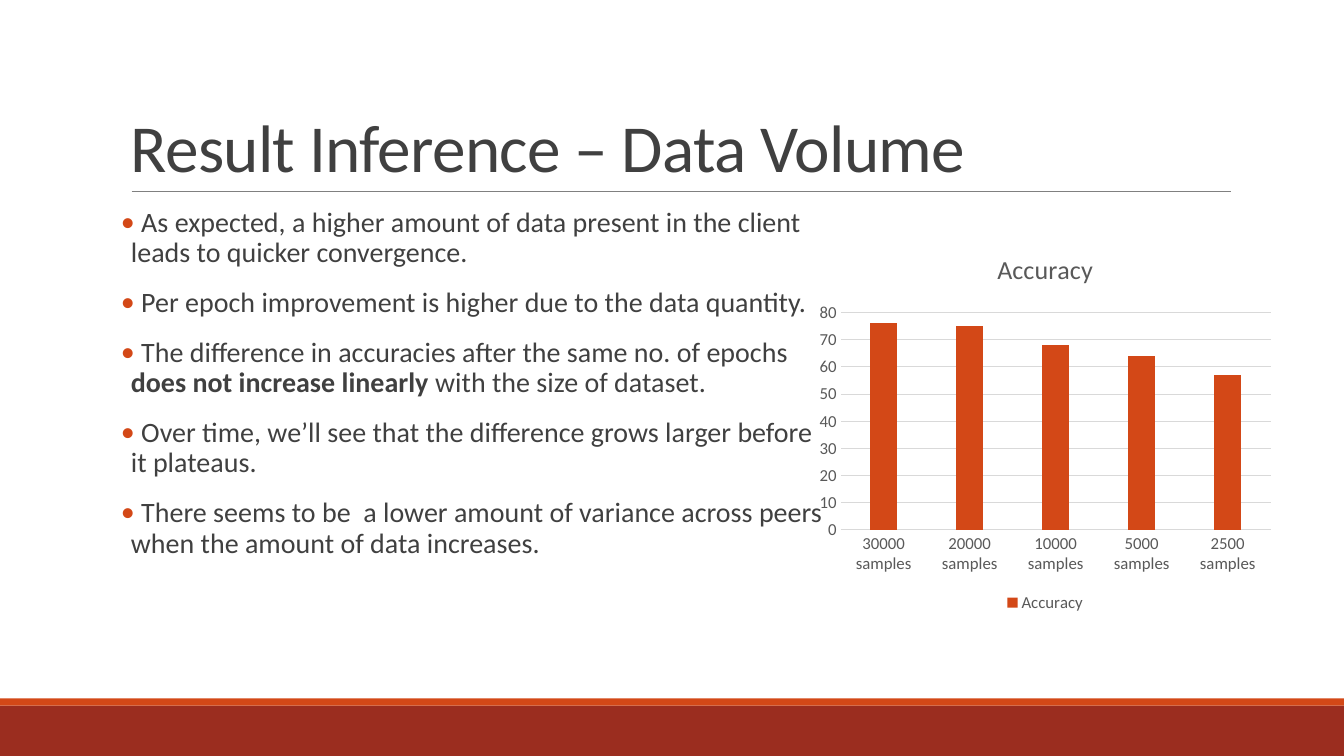
"""Build the slide on how data volume affects accuracy."""
from dataclasses import dataclass

from lxml.etree import SubElement
from pptx import Presentation
from pptx.chart.data import CategoryChartData
from pptx.dml.color import RGBColor
from pptx.enum.chart import XL_CHART_TYPE, XL_LEGEND_POSITION, XL_TICK_MARK
from pptx.enum.shapes import MSO_CONNECTOR, MSO_SHAPE
from pptx.enum.text import MSO_ANCHOR
from pptx.oxml.ns import qn
from pptx.util import Cm, Pt

FONT = "Calibri"
ORANGE = "D34817"
TEXT = "404040"
CHART_TEXT = "595959"
GRID = "D9D9D9"
SLIDE_WIDTH = 33.87
SLIDE_HEIGHT = 19.05


@dataclass
class Band:
    top: float
    height: float
    color: str


@dataclass
class Finding:
    text: str
    emphasis: str = ""
    ending: str = ""


BANDS = [Band(17.78, 1.27, "9B2D1F"), Band(17.6, 0.18, ORANGE)]

FINDINGS = [
    Finding(" As expected, a higher amount of data present in the client \vleads to quicker convergence."),
    Finding(" Per epoch improvement is higher due to the data quantity."),
    Finding(" The difference in accuracies after the same no. of epochs\v",
            "does not increase linearly ", "with the size of dataset."),
    Finding(" Over time, we’ll see that the difference grows larger before \vit plateaus."),
    Finding(" There seems to be  a lower amount of variance across peers\vwhen the amount of data increases."),
]

ACCURACY = {30000: 76, 20000: 75, 10000: 68, 5000: 64, 2500: 57}


def rgb(value: str) -> RGBColor:
    return RGBColor.from_string(value)


def style_font(font, size: float, color: str) -> None:
    font.name = FONT
    font.size = Pt(size)
    font.color.rgb = rgb(color)


def add_band(slide, band: Band) -> None:
    strip = slide.shapes.add_shape(
        MSO_SHAPE.RECTANGLE, Cm(0), Cm(band.top), Cm(SLIDE_WIDTH), Cm(band.height))
    strip.shadow.inherit = False
    strip.fill.solid()
    strip.fill.fore_color.rgb = rgb(band.color)
    strip.line.fill.background()


def add_title_rule(slide) -> None:
    rule = slide.shapes.add_connector(
        MSO_CONNECTOR.STRAIGHT, Cm(3.32), Cm(4.82), Cm(31.01), Cm(4.82))
    rule.line.color.rgb = rgb("808080")
    rule.line.width = Pt(0.5)
    SubElement(rule._element.spPr, qn("a:effectLst"))


def add_title(slide) -> None:
    title = slide.shapes.add_textbox(Cm(3.05), Cm(0.79), Cm(27.94), Cm(4.04)).text_frame
    title.word_wrap = True
    title.vertical_anchor = MSO_ANCHOR.BOTTOM
    title.text = "Result Inference – Data Volume"
    heading = title.paragraphs[0]
    heading.line_spacing = 0.85
    for run in heading.runs:
        style_font(run.font, 48, TEXT)
        run._r.get_or_add_rPr().set("spc", "-50")


def add_bullet(paragraph) -> None:
    properties = paragraph._p.get_or_add_pPr()
    properties.set("marL", str(Cm(0.25)))
    properties.set("indent", str(Cm(-0.25)))
    bullet_color = SubElement(properties, qn("a:buClr"))
    SubElement(bullet_color, qn("a:srgbClr"), val=ORANGE)
    SubElement(properties, qn("a:buFont"), typeface=FONT)
    SubElement(properties, qn("a:buChar"), char="•")


def add_findings(slide) -> None:
    body = slide.shapes.add_textbox(Cm(3.05), Cm(5.13), Cm(27.94), Cm(11.18)).text_frame
    body.word_wrap = True
    body.margin_left = body.margin_right = Cm(0)
    for index, finding in enumerate(FINDINGS):
        paragraph = body.add_paragraph() if index else body.paragraphs[0]
        paragraph.text = finding.text + finding.emphasis
        add_bullet(paragraph)
        paragraph.line_spacing = 0.9
        paragraph.space_before = Pt(12 if index else 0)
        paragraph.space_after = Pt(2)
        if finding.emphasis:
            paragraph.runs[-1].font.bold = True
            paragraph.add_run().text = finding.ending
        for run in paragraph.runs:
            style_font(run.font, 20, TEXT)


def add_accuracy_chart(slide) -> None:
    chart_data = CategoryChartData()
    chart_data.categories = [f"{count} samples" for count in ACCURACY]
    chart_data.add_series("Accuracy", ACCURACY.values())
    chart = slide.shapes.add_chart(
        XL_CHART_TYPE.COLUMN_CLUSTERED, Cm(20.42), Cm(5.89), Cm(11.84), Cm(9.65), chart_data).chart
    style_font(chart.font, 10, "000000")

    chart.has_title = True
    chart.chart_title.text_frame.text = "Accuracy"
    heading = chart.chart_title.text_frame.paragraphs[0].runs[0].font
    style_font(heading, 18.6, CHART_TEXT)
    heading.bold = False

    chart.has_legend = True
    chart.legend.position = XL_LEGEND_POSITION.BOTTOM
    chart.legend.include_in_layout = False
    style_font(chart.legend.font, 12, CHART_TEXT)

    samples, percent = chart.category_axis, chart.value_axis
    for axis in (samples, percent):
        axis.major_tick_mark = axis.minor_tick_mark = XL_TICK_MARK.NONE
        style_font(axis.tick_labels.font, 12, CHART_TEXT)
    percent.minimum_scale, percent.maximum_scale, percent.major_unit = 0, 80, 10
    percent.format.line.fill.background()
    for line in (samples.format.line, percent.major_gridlines.format.line):
        line.color.rgb = rgb(GRID)
        line.width = Pt(0.75)

    columns = chart.plots[0]
    columns.vary_by_categories = False
    columns.gap_width = 219
    columns.overlap = -27
    accuracy = columns.series[0]
    accuracy.format.fill.solid()
    accuracy.format.fill.fore_color.rgb = rgb(ORANGE)


def main() -> None:
    presentation = Presentation()
    presentation.slide_width = Cm(SLIDE_WIDTH)
    presentation.slide_height = Cm(SLIDE_HEIGHT)
    slide = presentation.slides.add_slide(presentation.slide_layouts[6])
    for band in BANDS:
        add_band(slide, band)
    add_title_rule(slide)
    add_title(slide)
    add_findings(slide)
    add_accuracy_chart(slide)
    presentation.save("out.pptx")


if __name__ == "__main__":
    main()
